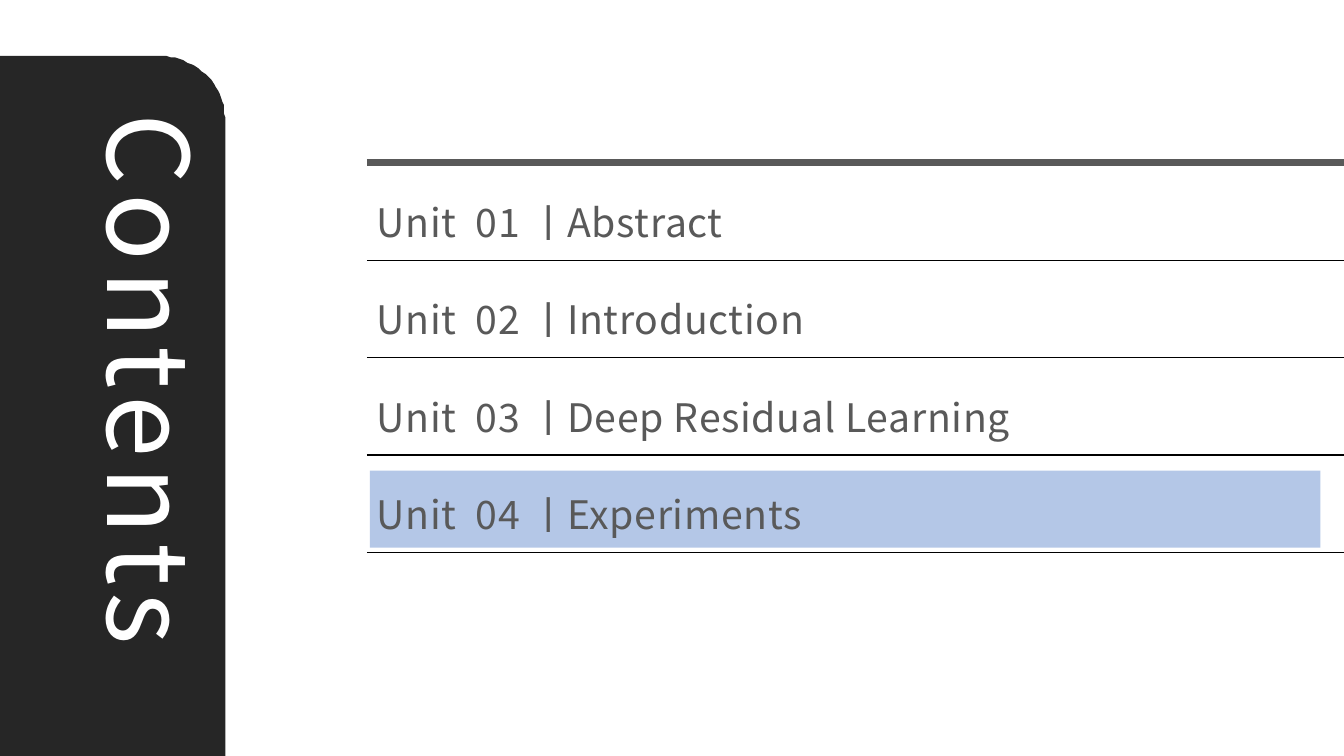
import math

from lxml import etree
from pptx import Presentation
from pptx import util as u
from pptx.dml.color import RGBColor
from pptx.enum import shapes, text
from pptx.oxml.ns import qn

COLORS = {"panel": "262626", "highlight": "B4C7E7", "ink": "595959",
          "rule": "000000", "title": "FFFFFF"}
FONT = "Noto Sans CJK KR"
WIDTH, HEIGHT = 960, 540


class Deck:
    def __init__(self):
        self.prs = Presentation()
        self.prs.slide_width, self.prs.slide_height = u.Pt(WIDTH), u.Pt(HEIGHT)
        self.s = self.prs.slides.add_slide(self.prs.slide_layouts[6])

    def color(self, name):
        return RGBColor.from_string(COLORS[name])

    def paint(self, sp, fill):
        sp.fill.solid()
        sp.fill.fore_color.rgb = self.color(fill)
        sp.line.fill.background()
        sp.shadow.inherit = False

    def rect(self, x, y, w, h, fill):
        sp = self.s.shapes.add_shape(shapes.MSO_SHAPE.RECTANGLE,
                                     u.Pt(x), u.Pt(y), u.Pt(w), u.Pt(h))
        self.paint(sp, fill)

    def polygon(self, points, fill):
        fb = self.s.shapes.build_freeform(*points[0], scale=u.Pt(1))
        fb.add_line_segments(points[1:], close=True)
        self.paint(fb.convert_to_shape(), fill)

    def line(self, x1, y1, x2, y2, color, weight):
        c = self.s.shapes.add_connector(shapes.MSO_CONNECTOR.STRAIGHT,
                                        u.Pt(x1), u.Pt(y1), u.Pt(x2), u.Pt(y2))
        c.line.color.rgb = self.color(color)
        c.line.width = u.Pt(weight)
        etree.SubElement(c._element.spPr, qn("a:effectLst"))

    def label(self, x, y, w, h, words, size, color, spacing):
        """Add a text box; spacing is the extra room between letters."""
        sp = self.s.shapes.add_textbox(u.Pt(x), u.Pt(y), u.Pt(w), u.Pt(h))
        tf = sp.text_frame
        tf.word_wrap = True
        tf.vertical_anchor = text.MSO_ANCHOR.MIDDLE
        p = tf.paragraphs[0]
        r = p.add_run()
        r.text = words
        p.font.size = u.Pt(size)
        p.font.color.rgb = self.color(color)
        p.font.name = FONT
        # Letter spacing and the Hangul font have no public setter.
        r_pr = r._r.get_or_add_rPr()
        r_pr.set("spc", str(round(spacing * 100)))
        etree.SubElement(r_pr, qn("a:ea"), typeface=FONT)
        return sp


def main():
    deck = Deck()
    left, width = 262, 679
    first_top, pitch, row_height = 131, 69.5, 55
    units = ["Abstract", "Introduction", "Deep Residual Learning", "Experiments"]

    deck.rect(left + 2.2, 336.2, width, row_height, "highlight")

    panel_top, panel_right, rx, ry, steps = 40, 160.6, 47.6, 44, 24
    angles = [math.pi / 2 * i / steps for i in range(steps + 1)]
    corner = [(panel_right - rx + rx * math.sin(a), panel_top + ry - ry * math.cos(a))
              for a in angles]
    deck.polygon([(0, panel_top), *corner, (panel_right, HEIGHT), (0, HEIGHT)], "panel")

    title = deck.label(-142.6, 272.9, 501.8, 104.4, "Contents", 80, "title", 6)
    title.rotation = 90
    title.text_frame.vertical_anchor = text.MSO_ANCHOR.TOP
    title.text_frame.auto_size = text.MSO_AUTO_SIZE.SHAPE_TO_FIT_TEXT

    deck.line(left, 116, WIDTH, 116, "ink", 5)
    for i, unit in enumerate(units):
        top = first_top + i * pitch
        deck.label(left, top, width, row_height, f"Unit  {i + 1:02} ㅣ{unit}",
                   28, "ink", 0.5)
        deck.line(left, top + row_height, WIDTH, top + row_height, "rule", 1)

    deck.prs.save("out.pptx")


if __name__ == "__main__":
    main()
